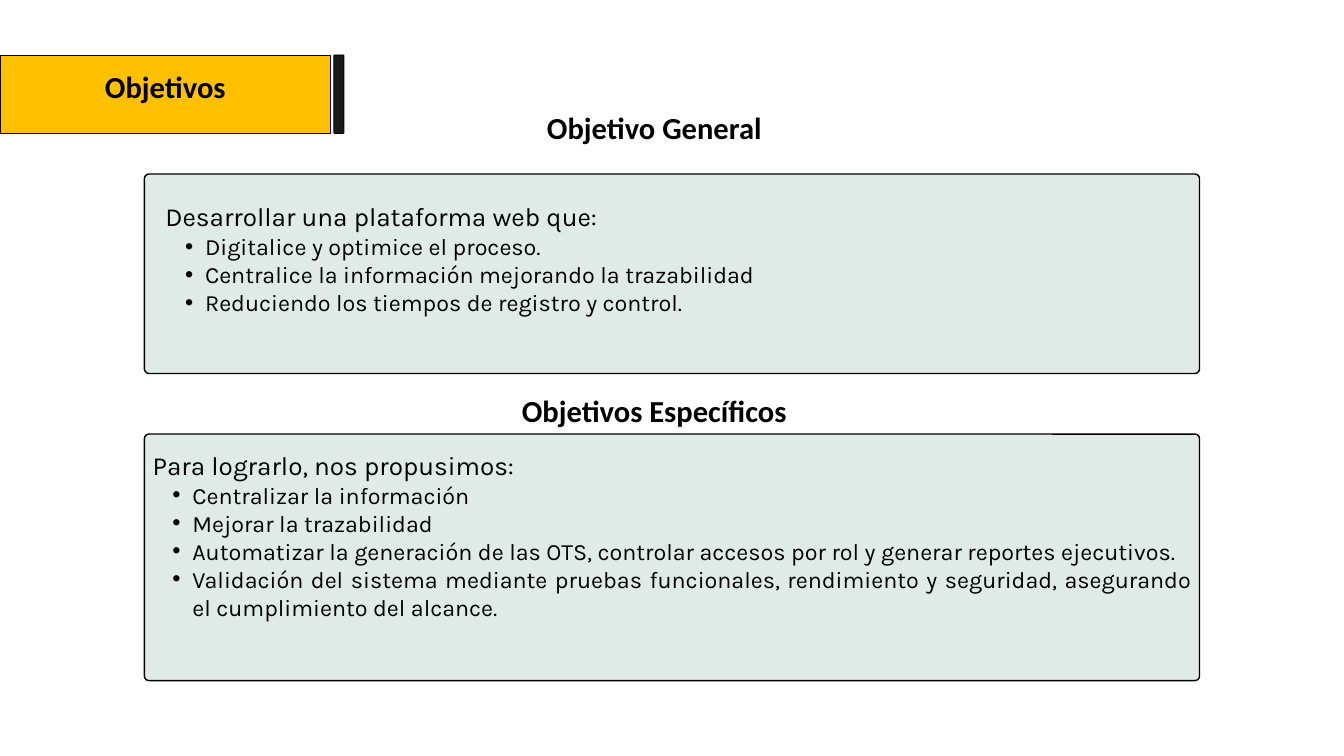
from pptx import Presentation
from pptx import util as u
from pptx.dml.color import RGBColor
from pptx.enum import shapes, text
from pptx.oxml.ns import qn
from lxml import etree

COLORS = {"ink": "000000", "tag": "FFC000", "bar": "1A1A1A", "panel": "E0EBE7"}

GENERAL = [
    "Digitalice y optimice el proceso.",
    "Centralice la información mejorando la trazabilidad",
    "Reduciendo los tiempos de registro y control.",
]
SPECIFIC = [
    "Centralizar la información",
    "Mejorar la trazabilidad",
    "Automatizar la generación de las OTS, controlar accesos por rol y generar reportes ejecutivos.",
    "Validación del sistema mediante pruebas funcionales, rendimiento y seguridad, "
    "asegurando el cumplimiento del alcance.",
]


def color(name):
    return RGBColor.from_string(COLORS[name])


def add_block(page, left, top, width, height, fill, line=1, radius=0):
    kind = shapes.MSO_SHAPE.ROUNDED_RECTANGLE if radius else shapes.MSO_SHAPE.RECTANGLE
    block = page.shapes.add_shape(kind, u.Cm(left), u.Cm(top), u.Cm(width), u.Cm(height))
    if radius:
        block.adjustments[0] = radius / min(width, height)
    block.shadow.inherit = False
    block.fill.solid()
    block.fill.fore_color.rgb = color(fill)
    block.line.color.rgb = color("ink")
    block.line.width = u.Pt(line)


def add_box(page, left, top, width, height):
    box = page.shapes.add_textbox(u.Cm(left), u.Cm(top), u.Cm(width), u.Cm(height))
    frame = box.text_frame
    frame.word_wrap = True
    frame.auto_size = text.MSO_AUTO_SIZE.SHAPE_TO_FIT_TEXT
    frame.margin_left = frame.margin_right = frame.margin_top = frame.margin_bottom = 0
    return frame


def write(para, words, size, spacing, font="Karla", bold=False, align="JUSTIFY", bullet=False):
    if bullet:
        para.level = 1
        properties = para._p.get_or_add_pPr()
        properties.set("marL", str(u.Cm(1.5)))
        properties.set("indent", str(u.Cm(-0.75)))
        etree.SubElement(properties, qn("a:buFont"), typeface="Arial")
        etree.SubElement(properties, qn("a:buChar"), char="•")
    para.alignment = getattr(text.PP_ALIGN, align)
    para.line_spacing = u.Pt(spacing)
    span = para.add_run()
    span.text = words
    span.font.name = font
    span.font.size = u.Pt(size)
    span.font.bold = bold
    span.font.color.rgb = color("ink")


def add_heading(page, words, left, top, width):
    frame = add_box(page, left, top, width, 1.57)
    write(frame.paragraphs[0], words, 32.7, 39.3, font="Calibri", bold=True, align="CENTER")


def add_list(page, intro, items, left, top, width, height):
    frame = add_box(page, left, top, width, height)
    write(frame.paragraphs[0], intro, 28, 33.6)
    for item in items:
        write(frame.add_paragraph(), item, 25, 30, bullet=True)


def main():
    deck = Presentation()
    deck.slide_width, deck.slide_height = u.Cm(50.8), u.Cm(28.58)
    page = deck.slides.add_slide(deck.slide_layouts[6])

    add_block(page, 0, 2.08, 12.5, 2.96, "tag")
    add_block(page, 12.62, 2.08, 0.38, 2.96, "bar", radius=0.03)
    add_heading(page, "Objetivos", 0, 2.57, 12.5)

    for title, top in (("Objetivo General", 4.11), ("Objetivos Específicos", 14.83)):
        add_heading(page, title, 3.68, top, 42.11)
    for top, height in ((6.58, 7.54), (16.41, 9.32)):
        add_block(page, 5.46, top, 39.88, height, "panel", line=1.5, radius=0.17)

    add_list(page, "Desarrollar una plataforma web que:", GENERAL, 6.25, 7.59, 37.59, 4.34)
    add_list(page, "Para lograrlo, nos propusimos:", SPECIFIC, 5.77, 16.99, 39.24, 7.52)
    deck.save("out.pptx")


if __name__ == "__main__":
    main()
